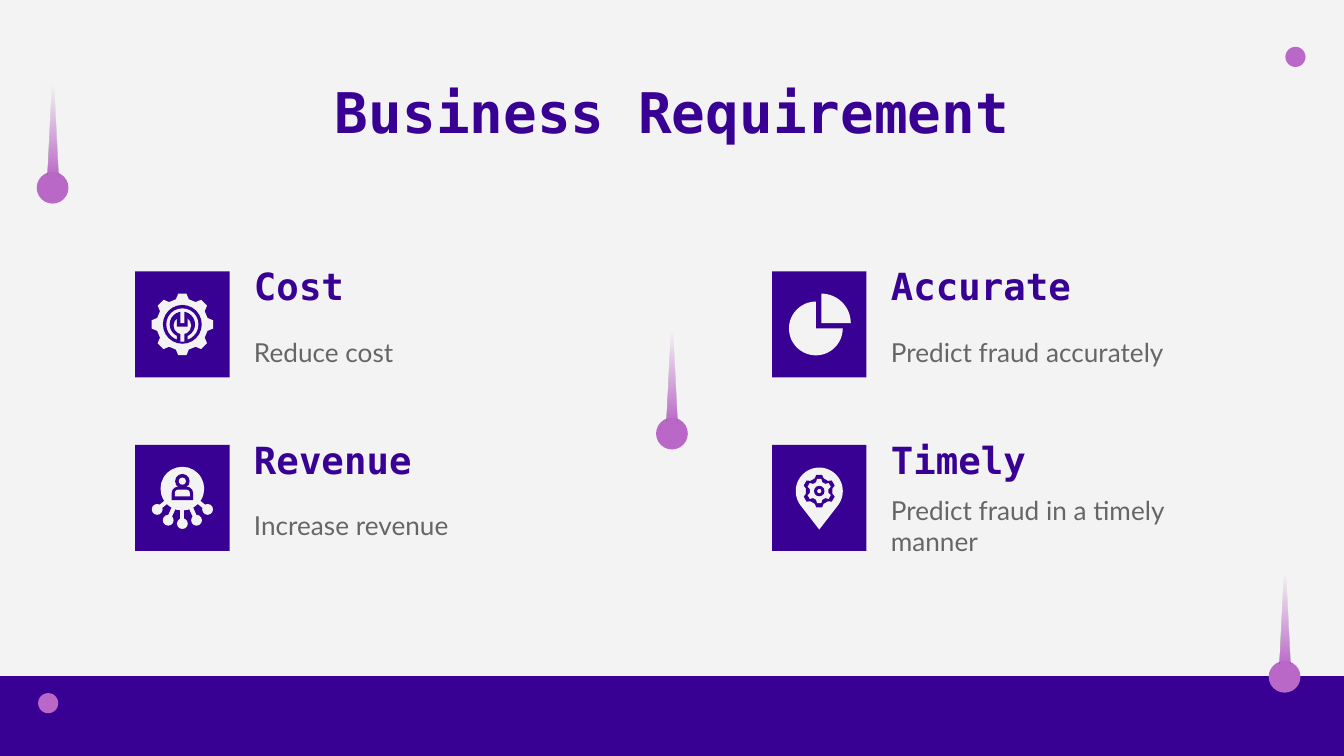
"""Build the Business Requirement slide with four icon cards."""
from math import cos, radians, sin

from lxml.etree import SubElement
from pptx import Presentation
from pptx.dml.color import RGBColor
from pptx.enum.shapes import MSO_CONNECTOR, MSO_SHAPE as Preset
from pptx.enum.text import MSO_ANCHOR as Anchor, MSO_AUTO_SIZE as AutoSize, PP_ALIGN as Align
from pptx.oxml.ns import qn
from pptx.util import Pt

PURPLE, PINK, PALE, GRAY = "380093", "BA68C8", "F3F3F3", "666666"
MONO, SANS = "DejaVu Sans Mono", "Lato"
CARD_WIDTH, CARD_HEIGHT = 50.6, 56.8


def color(value):
    return RGBColor.from_string(value)


def arc(x, y, radius, start, end, step=6):
    return [(x + radius * cos(radians(a)), y + radius * sin(radians(a)))
            for a in range(start, end + 1, step)]


def gear_points(x, y, teeth, outer, root):
    pitch = 360 / teeth
    corners = ((root, -0.32), (outer, -0.17), (outer, 0.17), (root, 0.32))
    points = []
    for tooth in range(teeth):
        for radius, share in corners:
            angle = radians(270 + (tooth + share) * pitch)
            points.append((x + radius * cos(angle), y + radius * sin(angle)))
    return points


class SlideBuilder:
    def __init__(self, slide):
        self.slide = slide
        self.shapes = slide.shapes
        slide.background.fill.solid()
        slide.background.fill.fore_color.rgb = color(PALE)

    def paint(self, shape, fill):
        shape.shadow.inherit = False
        shape.fill.solid()
        shape.fill.fore_color.rgb = color(fill)
        shape.line.fill.background()
        return shape

    def preset(self, kind, left, top, width, height, fill):
        shape = self.shapes.add_shape(kind, Pt(left), Pt(top), Pt(width), Pt(height))
        return self.paint(shape, fill)

    def box(self, left, top, width, height, fill):
        return self.preset(Preset.RECTANGLE, left, top, width, height, fill)

    def disc(self, x, y, radius, fill):
        return self.preset(Preset.OVAL, x - radius, y - radius, 2 * radius, 2 * radius, fill)

    def outline(self, points, fill):
        corners = [(Pt(x), Pt(y)) for x, y in points]
        builder = self.shapes.build_freeform(*corners[0])
        builder.add_line_segments(corners[1:], close=True)
        return self.paint(builder.convert_to_shape(), fill)

    def link(self, x1, y1, x2, y2, width, stroke):
        connector = self.shapes.add_connector(
            MSO_CONNECTOR.STRAIGHT, Pt(x1), Pt(y1), Pt(x2), Pt(y2))
        connector.line.color.rgb = color(stroke)
        connector.line.width = Pt(width)
        SubElement(connector.element.spPr, qn("a:effectLst"))

    def set_text(self, shape, text, size, font, ink, bold, anchor, align):
        frame = shape.text_frame
        frame.word_wrap = True
        frame.auto_size = AutoSize.NONE
        frame.vertical_anchor = anchor
        frame.margin_left = frame.margin_right = Pt(7.2)
        frame.margin_top = frame.margin_bottom = Pt(7.2)
        frame.text = text
        paragraph = frame.paragraphs[0]
        paragraph.alignment = align
        paragraph.font.name = font
        paragraph.font.size = Pt(size)
        paragraph.font.bold = bold
        paragraph.font.color.rgb = color(ink)

    def title(self, text, left, top, width, height):
        shape = self.shapes.title
        shape.left, shape.top, shape.width, shape.height = map(Pt, (left, top, width, height))
        self.set_text(shape, text, 30, MONO, PURPLE, True, Anchor.BOTTOM, Align.CENTER)

    def text(self, text, left, top, width, height, size, font, ink, bold):
        shape = self.shapes.add_textbox(Pt(left), Pt(top), Pt(width), Pt(height))
        self.set_text(shape, text, size, font, ink, bold, Anchor.MIDDLE, Align.LEFT)

    def drop(self, x, y):
        self.disc(x, y, 8.5, PINK)
        tail = self.preset(Preset.ISOSCELES_TRIANGLE, x - 2.9, y - 67.6, 5.8, 62.6, PINK)
        tail.fill.gradient()
        tail.fill.gradient_angle = 90
        for stop, position in zip(tail.fill.gradient_stops, (0, 0.8)):
            stop.color.rgb = color(PINK)
            stop.position = position
        clear = list(tail.element.spPr.iter(qn("a:srgbClr")))[-1]
        SubElement(clear, qn("a:alpha"), val="0")

    def wrench_icon(self, x, y):
        self.outline(gear_points(x, y, 8, 16.6, 13.9), PALE)
        self.disc(x, y, 10.4, PURPLE)
        self.disc(x, y, 8.6, PALE)
        self.disc(x, y, 6.8, PURPLE)
        self.box(x - 2.9, y, 5.8, 9, PURPLE)
        self.disc(x, y + 0.6, 4.7, PALE)
        self.box(x - 1.1, y + 4, 2.2, 5.3, PALE)
        self.box(x - 2.9, y - 4.6, 5.8, 5.8, PURPLE)
        self.box(x - 1.1, y - 8, 2.2, 7.3, PALE)

    def network_icon(self, x, y):
        nodes = ((-13.5, 6.1), (-7.6, 11.9), (0, 13.7), (7.6, 11.9), (13.5, 6.1))
        for dx, dy in nodes:
            self.link(x, y - 5, x + dx, y + dy, 2.2, PALE)
            self.disc(x + dx, y + dy, 2.9, PALE)
        self.disc(x, y - 5, 11.7, PALE)
        for radius, half, top, height, fill in ((3.9, 5.8, -6.1, 7.2, PURPLE),
                                                (1.9, 4, -4.5, 3.6, PALE)):
            body = self.preset(Preset.ROUND_2_SAME_RECTANGLE,
                               x - half, y + top, 2 * half, height, fill)
            body.adjustments[0] = 0.5
            self.disc(x, y - 9, radius, fill)

    def pie_icon(self, x, y):
        for dx, dy, radius, start, end in ((-1.8, 2.2, 14.4, 0, 270),
                                           (1.1, -0.7, 15.8, 270, 360)):
            center = (x + dx, y + dy)
            self.outline([center] + arc(*center, radius, start, end), PALE)

    def pin_icon(self, x, y):
        middle = y - 3.7
        self.outline(arc(x, middle, 12.6, 144, 396) + [(x, y + 16.9)], PALE)
        self.outline(gear_points(x, middle, 6, 8.8, 7.2), PURPLE)
        self.outline(gear_points(x, middle, 6, 6.6, 5), PALE)
        self.disc(x, middle, 2.8, PURPLE)
        self.disc(x, middle, 1.1, PALE)

    def card(self, column, row, heading, detail, icon):
        left, top = 72.4 + 341.2 * column, 145.4 + 93 * row
        self.box(left, top, CARD_WIDTH, CARD_HEIGHT, PURPLE)
        icon(left + CARD_WIDTH / 2, top + CARD_HEIGHT / 2)
        self.text(heading, left + 56.6, top - 7.2, 177, 29.5, 20, MONO, PURPLE, True)
        self.text(detail, left + 56.6, top + 22.2, 177, 41.8, 14, SANS, GRAY, False)


def main():
    presentation = Presentation()
    presentation.slide_width, presentation.slide_height = Pt(720), Pt(405)
    builder = SlideBuilder(presentation.slides.add_slide(presentation.slide_layouts[5]))
    band = builder.box(0, 362.6, 720, 42.4, PURPLE)
    band.line.color.rgb = color(PURPLE)
    band.line.width = Pt(0.75)
    builder.title("Business Requirement", 56.2, 42.5, 607.7, 42.5)
    cards = (
        (0, 0, "Cost", "Reduce cost", builder.wrench_icon),
        (1, 0, "Accurate", "Predict fraud accurately", builder.pie_icon),
        (0, 1, "Revenue", "Increase revenue", builder.network_icon),
        (1, 1, "Timely", "Predict fraud in a timely manner", builder.pin_icon),
    )
    for card in cards:
        builder.card(*card)
    for x, y in ((28.2, 100.6), (360, 232.3), (688.2, 362.6)):
        builder.drop(x, y)
    for x, y in ((694, 30.5), (25.8, 376.7)):
        builder.disc(x, y, 5.4, PINK)
    presentation.save("out.pptx")


if __name__ == "__main__":
    main()
